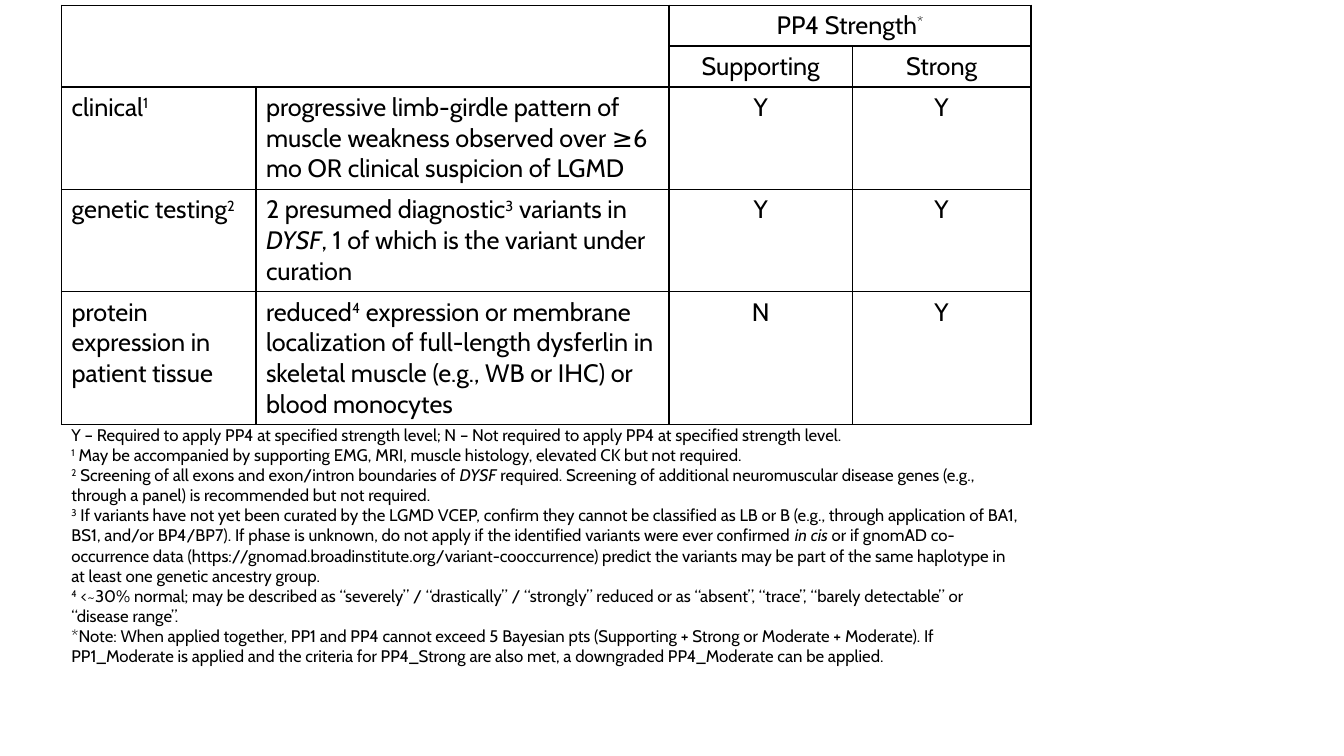
from lxml.etree import SubElement
from pptx import Presentation
from pptx.dml.color import RGBColor
from pptx.enum.text import MSO_AUTO_SIZE as AutoSize, PP_ALIGN as Align
from pptx.oxml.ns import qn
from pptx.util import Cm, Pt

# Content: each text is a list of (words, style) runs
FONT, BLACK = "Cabin", "000000"
PLAIN, SUP, ITALIC = "plain", "sup", "italic"

HEADER = [("PP4 Strength", PLAIN), ("*", SUP)]
STRENGTHS = ["Supporting", "Strong"]
CRITERIA = [
    ([("clinical", PLAIN), ("1", SUP)],
     [("progressive limb-girdle pattern of muscle weakness observed over ≥6 mo "
       "OR clinical suspicion of LGMD", PLAIN)],
     "Y", "Y"),
    ([("genetic testing", PLAIN), ("2", SUP)],
     [("2 presumed diagnostic", PLAIN), ("3", SUP), (" variants in ", PLAIN),
      ("DYSF", ITALIC), (", 1 of which is the variant under curation", PLAIN)],
     "Y", "Y"),
    ([("protein expression in patient tissue", PLAIN)],
     [("reduced", PLAIN), ("4", SUP),
      (" expression or membrane localization of full-length dysferlin in "
       "skeletal muscle (e.g., WB or IHC) or blood monocytes", PLAIN)],
     "N", "Y"),
]
NOTES = [
    [("Y – Required to apply PP4 at specified strength level; "
      "N – Not required to apply PP4 at specified strength level.", PLAIN)],
    [("1", SUP), (" May be accompanied by supporting EMG, MRI, muscle histology, "
                  "elevated CK but not required.", PLAIN)],
    [("2", SUP), (" Screening of all exons and exon/intron boundaries of ", PLAIN),
     ("DYSF", ITALIC),
     (" required. Screening of additional neuromuscular disease genes (e.g., "
      "through a panel) is recommended but not required.", PLAIN)],
    [("3", SUP),
     (" If variants have not yet been curated by the LGMD VCEP, confirm they cannot "
      "be classified as LB or B (e.g., through application of BA1, BS1, and/or "
      "BP4/BP7). If phase is unknown, do not apply if the identified variants were "
      "ever confirmed ", PLAIN),
     ("in cis ", ITALIC),
     ("or if gnomAD co-occurrence data "
      "(https://gnomad.broadinstitute.org/variant-cooccurrence) predict the variants "
      "may be part of the same haplotype in at least one genetic ancestry group.",
      PLAIN)],
    [("4", SUP),
     (" <~30% normal; may be described as “severely” / “drastically” / “strongly” "
      "reduced or as “absent”, “trace”, “barely detectable” or “disease range”.",
      PLAIN)],
    [("*Note: When applied together, PP1 and PP4 cannot exceed 5 Bayesian pts "
      "(Supporting + Strong or Moderate + Moderate). If PP1_Moderate is applied and "
      "the criteria for PP4_Strong are also met, a downgraded PP4_Moderate can be "
      "applied.", PLAIN)],
]

# Layout in centimetres
LEFT, TOP = 1.55, 0.13
COLS = [4.9, 10.41, 4.62, 4.5]
ROWS = [1.03, 1.03, 2.58, 2.58, 3.35]
NOTES_TOP, NOTES_HEIGHT = 10.57, 6.4


def color(value):
    return RGBColor.from_string(value)


def add_runs(p, runs, size, align=Align.LEFT):
    p.alignment = align
    for words, style in runs:
        r = p.add_run()
        r.text = words
        r.font.name, r.font.size = FONT, Pt(size)
        r.font.color.rgb = color(BLACK)
        if style == ITALIC:
            r.font.italic = True
        if style == SUP:
            r.font._element.set("baseline", "30000")


def style_cell(cell):
    tcPr = cell._tc.get_or_add_tcPr()
    for side in ("lnL", "lnR", "lnT", "lnB"):
        ln = SubElement(tcPr, qn(f"a:{side}"), w=str(Pt(1)))
        fill = SubElement(ln, qn("a:solidFill"))
        SubElement(fill, qn("a:srgbClr"), val=BLACK)
    cell.fill.background()


prs = Presentation()
prs.slide_width, prs.slide_height = Cm(33.87), Cm(19.05)
s = prs.slides.add_slide(prs.slide_layouts[6])

# Criteria table
table = s.shapes.add_table(len(ROWS), len(COLS), Cm(LEFT), Cm(TOP),
                           Cm(sum(COLS)), Cm(sum(ROWS))).table
table.first_row = table.horz_banding = False
for col, width in zip(table.columns, COLS):
    col.width = Cm(width)
for row, height in zip(table.rows, ROWS):
    row.height = Cm(height)
for cell in table.iter_cells():
    style_cell(cell)
table.cell(0, 0).merge(table.cell(1, 1))
table.cell(0, 2).merge(table.cell(0, 3))

grid = {(0, 2): HEADER}
for j, strength in enumerate(STRENGTHS, 2):
    grid[1, j] = [(strength, PLAIN)]
for i, (name, evidence, *needed) in enumerate(CRITERIA, 2):
    grid[i, 0], grid[i, 1] = name, evidence
    for j, mark in enumerate(needed, 2):
        grid[i, j] = [(mark, PLAIN)]
for (i, j), runs in grid.items():
    align = Align.CENTER if j >= 2 else Align.LEFT
    add_runs(table.cell(i, j).text_frame.paragraphs[0], runs, 18, align)

# Footnotes
sp = s.shapes.add_textbox(Cm(LEFT), Cm(NOTES_TOP), Cm(sum(COLS)), Cm(NOTES_HEIGHT))
tf = sp.text_frame
tf.word_wrap = True
tf.auto_size = AutoSize.SHAPE_TO_FIT_TEXT
for i, note in enumerate(NOTES):
    p = tf.add_paragraph() if i else tf.paragraphs[0]
    add_runs(p, note, 12)

prs.save("out.pptx")
